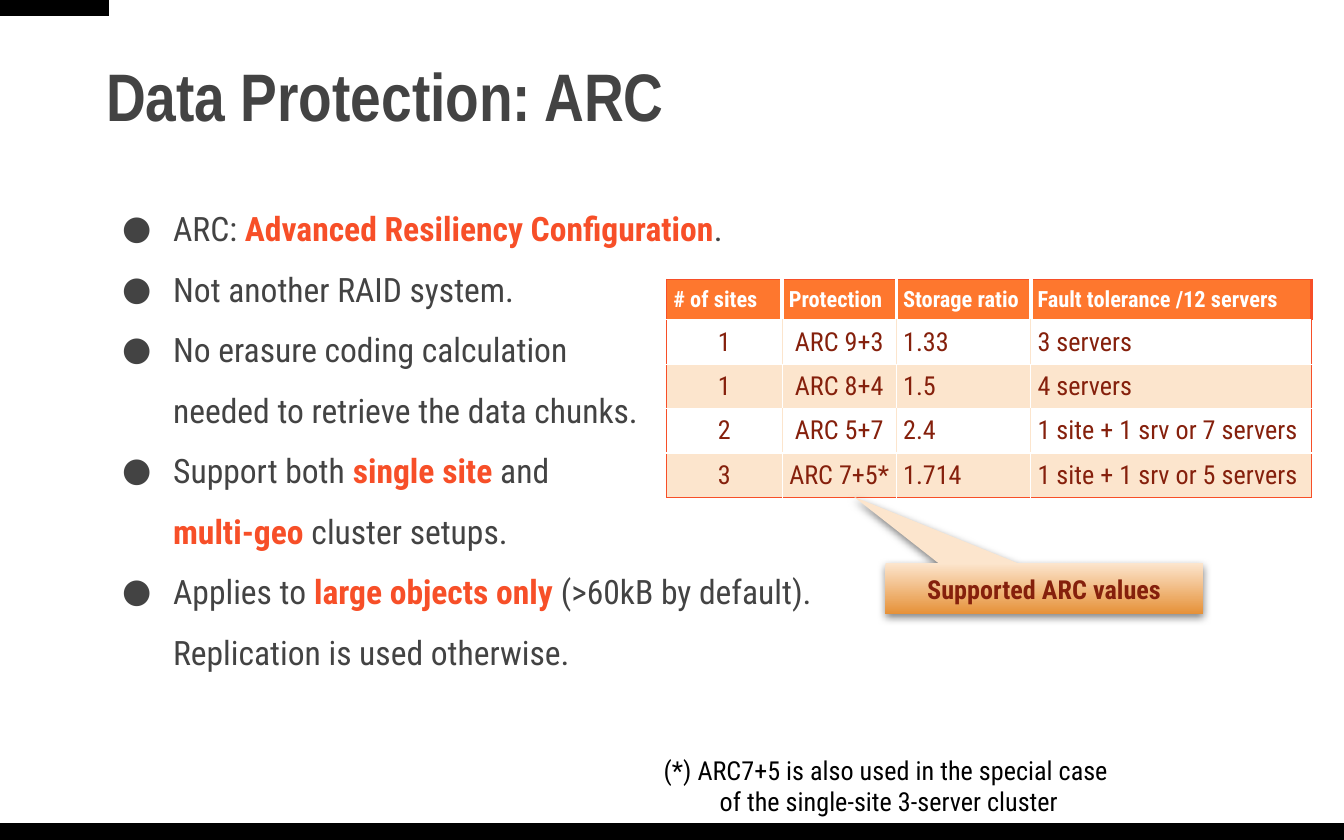
from lxml import etree
from pptx import Presentation
from pptx import util as u
from pptx.dml.color import RGBColor
from pptx.enum import shapes, text
from pptx.oxml import ns

WIDTH, HEIGHT = 10, 6.25
FONT = "Roboto Condensed"
GREY, ORANGE, BROWN, PEACH, WHITE, BLACK = "434343", "F74F28", "85200C", "FCE5CD", "FFFFFF", "000000"
HEADER_FILL, AMBER = "FE772E", "E69138"

TITLE = "Data Protection: ARC"
BULLETS = [
    ["ARC: ", "*Advanced Resiliency Configuration", "."],
    ["Not another RAID system."],
    ["No erasure coding calculation \nneeded to retrieve the data chunks."],
    ["Support both ", "*single site", " and \n", "*multi-geo", " cluster setups."],
    ["Applies to ", "*large objects only", " (>60kB by default). Replication is used otherwise."],
]
ROWS = [
    ("# of sites", "Protection", "Storage ratio", "Fault tolerance /12 servers"),
    ("1", "ARC 9+3", "1.33", "3 servers"),
    ("1", "ARC 8+4", "1.5", "4 servers"),
    ("2", "ARC 5+7", "2.4", "1 site + 1 srv or 7 servers"),
    ("3", "ARC 7+5*", "1.714", "1 site + 1 srv or 5 servers"),
]
COLUMN_WIDTHS = [0.86, 0.85, 1, 2.09]
HEADER_HEIGHT, ROW_HEIGHT = 0.3, 0.33
CALLOUT = "Supported ARC values"
FOOTNOTE = "(*) ARC7+5 is also used in the special case \nof the single-site 3-server cluster"

MARGIN = 0.069 * WIDTH
BODY_TOP = 0.216 * HEIGHT
BANDS = [(0, 0.98 * HEIGHT, WIDTH, 0.02 * HEIGHT), (0, 0, 0.081 * WIDTH, 0.019 * HEIGHT)]


def color(value):
    return RGBColor.from_string(value)


def box(*lengths):
    return [u.Inches(length) for length in lengths]


def add_xml(parent, tag, **attributes):
    return etree.SubElement(parent, ns.qn(tag), attributes)


def apply(target, formats):
    for name, value in formats.items():
        setattr(target, name, value)


def write(paragraph, content, size, tint, bold=False, font=FONT):
    for index, line in enumerate(content.split("\n")):
        if index:
            paragraph.add_line_break()
        if line:
            run = paragraph.add_run()
            run.text = line
            apply(run.font, {"size": u.Pt(size), "bold": bold, "name": font})
            run.font.color.rgb = color(tint)


def set_frame(frame, anchor, inset):
    apply(frame, {"word_wrap": True, "auto_size": text.MSO_AUTO_SIZE.NONE, "vertical_anchor": anchor})
    sides = ("left", "right", "top", "bottom")
    apply(frame, {f"margin_{side}": u.Inches(value) for side, value in zip(sides, inset)})


def add_bullet(paragraph):
    properties = paragraph._p.get_or_add_pPr()
    properties.set("marL", str(u.Inches(0.5)))
    properties.set("indent", str(u.Inches(-0.38)))
    add_xml(add_xml(properties, "a:buClr"), "a:srgbClr", val=GREY)
    add_xml(properties, "a:buFont", typeface=FONT)
    add_xml(properties, "a:buChar", char="●")
    paragraph.line_spacing = 1.5


def cell_borders(row, column):
    first, last = column == 0, column == len(COLUMN_WIDTHS) - 1
    if row == 0:
        inner, inner_width, right_width, top = WHITE, 2.25, 2.25, ORANGE
    else:
        inner, inner_width, right_width, top = (PEACH if row % 2 else WHITE), 0.75, 0.75, WHITE
    return [
        ("a:lnL", ORANGE if first else inner, 0.75 if first else inner_width),
        ("a:lnR", ORANGE if last else inner, right_width),
        ("a:lnT", top, 0.75),
        ("a:lnB", ORANGE if row == len(ROWS) - 1 else WHITE, 0.75),
    ]


def add_bands(slide):
    for band in BANDS:
        shape = slide.shapes.add_shape(shapes.MSO_SHAPE.RECTANGLE, *box(*band))
        shape.shadow.inherit = False
        shape.fill.solid()
        shape.fill.fore_color.rgb = color(BLACK)
        shape.line.fill.background()


def add_title(slide):
    title = slide.shapes.title
    apply(title, dict(zip(("left", "top", "width", "height"), box(MARGIN, 0.14, WIDTH - 2 * MARGIN, 1.21))))
    set_frame(title.text_frame, text.MSO_ANCHOR.MIDDLE, (0.1, 0.1, 0.05, 0.05))
    paragraph = title.text_frame.paragraphs[0]
    apply(paragraph, {"alignment": text.PP_ALIGN.LEFT, "line_spacing": 0.9})
    write(paragraph, TITLE, 36, GREY, True, "Arial Narrow")


def add_bullets(slide):
    frame = slide.shapes.add_textbox(*box(MARGIN, BODY_TOP, 5.67, 3.98)).text_frame
    set_frame(frame, text.MSO_ANCHOR.TOP, (0.1, 0.1, 0.05, 0.05))
    for index, parts in enumerate(BULLETS):
        paragraph = frame.add_paragraph() if index else frame.paragraphs[0]
        add_bullet(paragraph)
        for part in parts:
            strong = part.startswith("*")
            write(paragraph, part.lstrip("*"), 18, ORANGE if strong else GREY, strong)


def add_arc_table(slide):
    heights = [HEADER_HEIGHT] + [ROW_HEIGHT] * (len(ROWS) - 1)
    place = box(4.96, 2.08, sum(COLUMN_WIDTHS), sum(heights))
    table = slide.shapes.add_table(len(ROWS), len(COLUMN_WIDTHS), *place).table
    for column, width in zip(table.columns, COLUMN_WIDTHS):
        column.width = u.Inches(width)
    for row, height in zip(table.rows, heights):
        row.height = u.Inches(height)
    for row, values in enumerate(ROWS):
        header = row == 0
        for column, value in enumerate(values):
            cell = table.cell(row, column)
            apply(cell, {f"margin_{side}": u.Inches(0.05) for side in ("left", "right", "top", "bottom")})
            cell.vertical_anchor = text.MSO_ANCHOR.TOP if header else text.MSO_ANCHOR.MIDDLE
            properties = cell._tc.get_or_add_tcPr()
            for tag, tint, width in cell_borders(row, column):
                line = add_xml(properties, tag, w=str(u.Pt(width)))
                add_xml(add_xml(line, "a:solidFill"), "a:srgbClr", val=tint)
            cell.fill.solid()
            cell.fill.fore_color.rgb = color(HEADER_FILL if header else WHITE if row % 2 else PEACH)
            paragraph = cell.text_frame.paragraphs[0]
            centred = not header and column < 2
            paragraph.alignment = text.PP_ALIGN.CENTER if centred else text.PP_ALIGN.LEFT
            write(paragraph, value, 12 if header else 14, WHITE if header else BROWN, header)


def add_centred_text(shape, content, tint, bold):
    set_frame(shape.text_frame, text.MSO_ANCHOR.MIDDLE, (0.1,) * 4)
    paragraph = shape.text_frame.paragraphs[0]
    paragraph.alignment = text.PP_ALIGN.CENTER
    write(paragraph, content, 14, tint, bold)


def add_callout(slide):
    callout = slide.shapes.add_shape(shapes.MSO_SHAPE.ROUNDED_RECTANGULAR_CALLOUT, *box(6.59, 4.19, 2.36, 0.38))
    for index, value in enumerate((-0.6, -1.8, 0)):
        callout.adjustments[index] = value
    callout.fill.gradient()
    callout.fill.gradient_angle = 270
    for stop, tint, position in zip(callout.fill.gradient_stops, (PEACH, AMBER), (0, 1)):
        stop.color.rgb = color(tint)
        stop.position = position
    callout.line.fill.background()
    callout.shadow.inherit = False
    effects = callout._element.spPr.find(ns.qn("a:effectLst"))
    shadow = add_xml(effects, "a:outerShdw", blurRad=str(u.Pt(4.5)), dist=str(u.Pt(1.5)),
                     dir="5400000", algn="bl", rotWithShape="0")
    add_xml(add_xml(shadow, "a:srgbClr", val=BLACK), "a:alpha", val="50000")
    add_centred_text(callout, CALLOUT, BROWN, True)


def main():
    presentation = Presentation()
    presentation.slide_width, presentation.slide_height = box(WIDTH, HEIGHT)
    slide = presentation.slides.add_slide(presentation.slide_layouts[5])
    add_bands(slide)
    add_title(slide)
    add_bullets(slide)
    add_arc_table(slide)
    add_callout(slide)
    add_centred_text(slide.shapes.add_textbox(*box(4.65, 5.59, 3.93, 0.51)), FOOTNOTE, BLACK, False)
    presentation.save("out.pptx")


if __name__ == "__main__":
    main()
